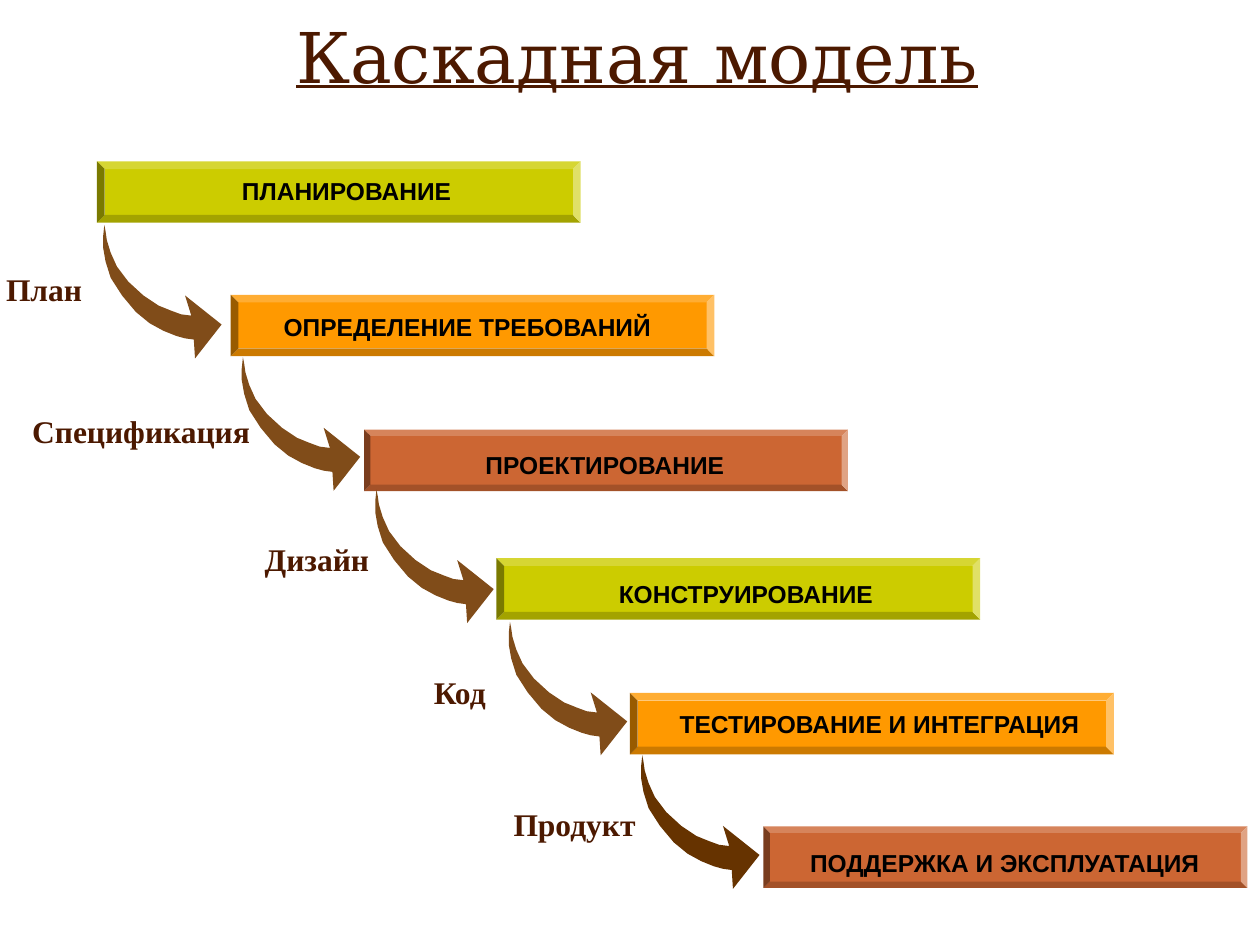
from dataclasses import dataclass
from math import cos, radians, sin

from pptx import Presentation
from pptx.dml.color import RGBColor
from pptx.enum.shapes import MSO_SHAPE
from pptx.enum.text import MSO_ANCHOR, MSO_AUTO_SIZE, PP_ALIGN
from pptx.util import Pt

BEVEL = MSO_SHAPE.BEVEL
CENTER = PP_ALIGN.CENTER
MIDDLE = MSO_ANCHOR.MIDDLE
NO_AUTOFIT = MSO_AUTO_SIZE.NONE
TITLE_ONLY = 5

COLORS = {
    "heading": "4C1900",
    "step_text": "000000",
    "lime": "CCCC00",
    "orange": "FF9900",
    "rust": "CC6633",
    "brown": "804C19",
    "dark_brown": "663300",
}

BAR_WIDTH, BAR_HEIGHT = 276.5, 35.1
ARROW_ANGLE = 203
ARROW_CENTER = (28.8, 39.2)  # measured from the arrow's tail

# Curved arrow as it stands on the slide, measured from its tail
ARROW_OUTLINE = [
    # inner edge, tail to head
    (0, 0), (0.7, 3.6), (1.4, 8.6), (3.6, 15.8), (7.2, 23.8), (13.7, 32.4),
    (22.3, 40.3), (31, 46.1), (38.2, 49), (43.9, 51.1), (49.7, 51.8),
    # head
    (46.1, 40.3), (67, 56.9), (51.8, 76.3), (51.1, 65.5),
    # outer edge, head to tail
    (46.1, 64.8), (41, 63.4), (33.8, 60.5), (25.9, 56.2), (18, 49.7),
    (10.1, 40.3), (3.6, 30.2), (0.7, 20.9), (-0.7, 13), (-0.7, 6.5),
]


@dataclass
class Caption:
    text: str
    left: float
    top: float
    width: float


@dataclass
class Step:
    left: float
    top: float
    color: str
    bevel: float
    caption: Caption


@dataclass
class Handover:
    tail_x: float
    tail_y: float
    color: str
    caption: Caption


STEPS = [
    Step(55.4, 92.2, "lime", 0.126, Caption("ПЛАНИРОВАНИЕ", 113.8, 97.2, 168.5)),
    Step(131.8, 168.5, "orange", 0.126, Caption("ОПРЕДЕЛЕНИЕ ТРЕБОВАНИЙ", 145.4, 175, 243.4)),
    Step(208.1, 245.5, "rust", 0.104, Caption("ПРОЕКТИРОВАНИЕ", 223.9, 253.4, 243.4)),
    Step(283.7, 319, "lime", 0.126, Caption("КОНСТРУИРОВАНИЕ", 342, 327.6, 168.5)),
    Step(360, 396, "orange", 0.126, Caption("ТЕСТИРОВАНИЕ И ИНТЕГРАЦИЯ", 376.6, 401.8, 252)),
    Step(436.3, 472.3, "rust", 0.104, Caption("ПОДДЕРЖКА И ЭКСПЛУАТАЦИЯ", 444.2, 481, 259.9)),
]

HANDOVERS = [
    Handover(59.8, 128.9, "brown", Caption("План", -36.7, 150.5, 123.8)),
    Handover(139, 204.5, "brown", Caption("Спецификация", 6.5, 231.8, 148.3)),
    Handover(215.3, 280.1, "brown", Caption("Дизайн", 128.9, 305.3, 104.4)),
    Handover(291.6, 355.7, "brown", Caption("Код", 210.2, 380.9, 105.1)),
    Handover(367.2, 432, "dark_brown", Caption("Продукт", 275.8, 456.5, 105.1)),
]


def rgb(name: str) -> RGBColor:
    return RGBColor.from_string(COLORS[name])


def paint(shape, color: str) -> None:
    shape.fill.solid()
    shape.fill.fore_color.rgb = rgb(color)
    shape.line.fill.background()
    shape.shadow.inherit = False


def style(paragraph, font_name: str, size: float, color: str) -> None:
    paragraph.alignment = CENTER
    paragraph.font.name = font_name
    paragraph.font.size = Pt(size)
    paragraph.font.color.rgb = rgb(color)


def add_title(slide, text: str) -> None:
    title = slide.shapes.title
    title.left, title.top = Pt(115.9), Pt(2.9)
    title.width, title.height = Pt(496.1), Pt(60.5)
    frame = title.text_frame
    frame.text = text
    frame.auto_size = NO_AUTOFIT
    frame.vertical_anchor = MIDDLE
    frame.margin_left = frame.margin_right = frame.margin_bottom = Pt(2.2)
    frame.margin_top = Pt(3.6)
    heading = frame.paragraphs[0]
    style(heading, "DejaVu Serif", 40, "heading")
    heading.font.underline = True
    heading.line_spacing = 0.97


def add_caption(slide, caption: Caption, height: float, font_name: str,
                size: float, color: str) -> None:
    box = slide.shapes.add_textbox(Pt(caption.left), Pt(caption.top),
                                   Pt(caption.width), Pt(height))
    box.text_frame.word_wrap = True
    box.text_frame.text = caption.text
    paragraph = box.text_frame.paragraphs[0]
    style(paragraph, font_name, size, color)
    paragraph.font.bold = True


def add_step(slide, step: Step) -> None:
    bar = slide.shapes.add_shape(BEVEL, Pt(step.left), Pt(step.top),
                                 Pt(BAR_WIDTH), Pt(BAR_HEIGHT))
    bar.adjustments[0] = step.bevel
    bar._element.spPr.xfrm.set("flipH", "1")
    paint(bar, step.color)
    add_caption(slide, step.caption, 24.5, "Arial", 14, "step_text")


def add_handover(slide, handover: Handover) -> None:
    # Turn the outline back about its centre, then let the shape's rotation restore it
    angle = radians(ARROW_ANGLE)
    center_x, center_y = ARROW_CENTER
    points = []
    for x, y in ARROW_OUTLINE:
        dx, dy = x - center_x, y - center_y
        points.append((
            Pt(handover.tail_x + center_x + dx * cos(angle) + dy * sin(angle)),
            Pt(handover.tail_y + center_y - dx * sin(angle) + dy * cos(angle)),
        ))
    builder = slide.shapes.build_freeform(*points[0])
    builder.add_line_segments(points[1:], close=True)
    arrow = builder.convert_to_shape()
    arrow.rotation = ARROW_ANGLE
    paint(arrow, handover.color)
    add_caption(slide, handover.caption, 28.8, "Times New Roman", 18, "heading")


def main() -> None:
    prs = Presentation()
    prs.slide_width, prs.slide_height = Pt(720), Pt(540)
    slide = prs.slides.add_slide(prs.slide_layouts[TITLE_ONLY])

    add_title(slide, "Каскадная модель")

    # Cascade of stages
    for step in STEPS:
        add_step(slide, step)

    # Results handed from stage to stage
    for handover in HANDOVERS:
        add_handover(slide, handover)

    prs.save("out.pptx")


if __name__ == "__main__":
    main()
